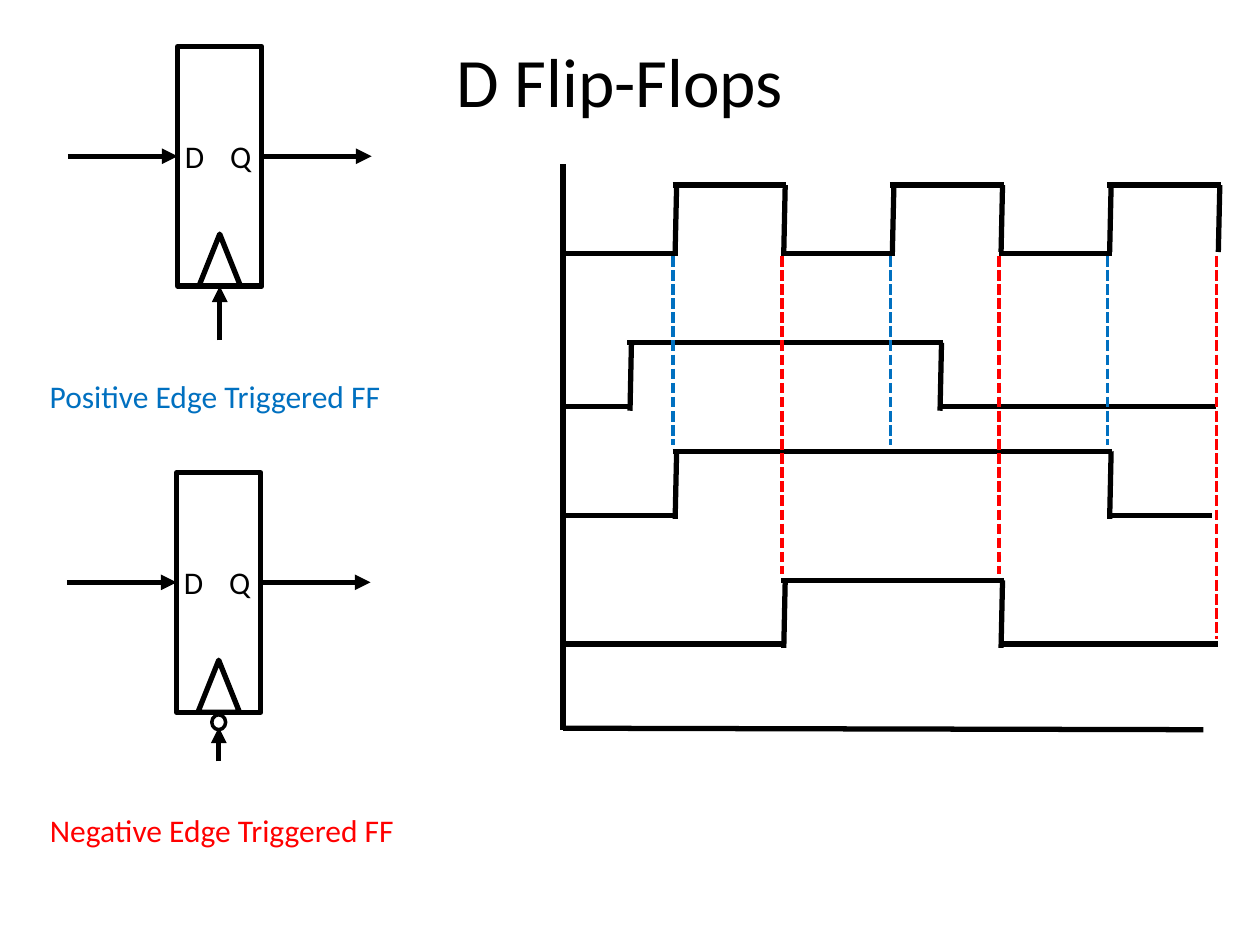
from dataclasses import dataclass
from typing import Optional

import pptx
import pptx.dml.color
import pptx.enum.dml
import pptx.enum.shapes
import pptx.enum.text
import pptx.oxml
import pptx.oxml.ns
import pptx.util

Cm, Pt = pptx.util.Cm, pptx.util.Pt
RGB = pptx.dml.color.RGBColor
Shape = pptx.enum.shapes.MSO_SHAPE
Align = pptx.enum.text.PP_ALIGN
DRAWING = pptx.oxml.ns.nsdecls("a")


@dataclass(frozen=True)
class Theme:
    font: str = "Calibri"
    ink: RGB = RGB(0, 0, 0)
    paper: RGB = RGB(255, 255, 255)
    positive: RGB = RGB(0x00, 0x70, 0xC0)
    negative: RGB = RGB(0xFF, 0, 0)
    title_size: float = 39.6
    text_size: float = 18
    thick: float = 3
    thin: float = 2


@dataclass(frozen=True)
class FlipFlop:
    left: float
    top: float
    clock_from: float
    clock_to: float
    inverted: bool


@dataclass(frozen=True)
class Caption:
    text: str
    left: float
    top: float
    width: float
    color: RGB


@dataclass(frozen=True)
class Signal:
    low: float
    high: float
    foot: float
    edges: list[float]
    end: Optional[float] = None


THEME = Theme()

# Symbol measures, in centimetres
BODY_WIDTH, BODY_HEIGHT = 1.7, 4.83
PIN_DEPTH, PIN_LENGTH = 2.21, 2.21
TEXT_HEIGHT = 1.02

# Timing diagram measures, in centimetres
AXIS_X, AXIS_TOP, AXIS_BOTTOM = 11.35, 3.3, 14.68
EDGES = [13.61 + 2.19 * step for step in range(6)]
LEAN = 0.03
OVERSHOOT = 0.05
GUIDE_TOP, GUIDE_SHIFT = 5.16, 0.04

FLIP_FLOPS = [
    FlipFlop(3.58, 0.94, 5.92, BODY_HEIGHT, False),
    FlipFlop(3.56, 9.53, 5.82, 5.13, True),
]
CAPTIONS = [
    Caption("Positive Edge Triggered FF", 0.64, 7.47, 7.39, THEME.positive),
    Caption("Negative Edge Triggered FF", 0.46, 16.23, 8.03, THEME.negative),
]
SIGNALS = [
    Signal(5.11, 3.73, 5.08, EDGES),
    Signal(8.2, 6.91, 8.28, [12.7, 18.95], 24.51),
    Signal(10.39, 9.1, 10.46, [EDGES[0], EDGES[4]], 24.43),
    Signal(12.98, 11.7, 13.06, [EDGES[1], EDGES[3]], 24.56),
]
GUIDE_BOTTOMS = [8.97, 11.58, 8.97, 11.58, 8.97, 12.88]


def write(frame, text: str, size: float, color: RGB, align) -> None:
    para = frame.paragraphs[0]
    para.alignment = align
    span = para.add_run()
    span.text = text
    for name, value in {"name": THEME.font, "size": Pt(size)}.items():
        setattr(span.font, name, value)
    span.font.color.rgb = color


def add_text(page, text: str, left: float, top: float, width: float,
             color: RGB = THEME.ink, align=Align.LEFT, wrap: bool = False) -> None:
    box = page.shapes.add_textbox(Cm(left), Cm(top), Cm(width), Cm(TEXT_HEIGHT))
    settings = {"word_wrap": wrap,
                "auto_size": pptx.enum.text.MSO_AUTO_SIZE.SHAPE_TO_FIT_TEXT}
    for name, value in settings.items():
        setattr(box.text_frame, name, value)
    write(box.text_frame, text, THEME.text_size, color, align)


def add_outline(page, kind, left: float, top: float, width: float, height: float,
                weight: float = THEME.thick, fill: Optional[RGB] = None):
    shape = page.shapes.add_shape(kind, Cm(left), Cm(top), Cm(width), Cm(height))
    shape.shadow.inherit = False
    if fill is None:
        shape.fill.background()
    else:
        shape.fill.solid()
        shape.fill.fore_color.rgb = fill
    shape.line.color.rgb = THEME.ink
    shape.line.width = Pt(weight)
    return shape


def add_line(page, x1: float, y1: float, x2: float, y2: float,
             color: RGB = THEME.ink, weight: float = THEME.thick,
             dashed: bool = False, arrow: bool = False):
    line = page.shapes.add_connector(pptx.enum.shapes.MSO_CONNECTOR.STRAIGHT,
                                     Cm(x1), Cm(y1), Cm(x2), Cm(y2))
    line.line.color.rgb = color
    line.line.width = Pt(weight)
    if dashed:
        line.line.dash_style = pptx.enum.dml.MSO_LINE.SQUARE_DOT
    properties = line._element.spPr
    if arrow:
        properties.find(pptx.oxml.ns.qn("a:ln")).append(
            pptx.oxml.parse_xml(f'<a:tailEnd {DRAWING} type="triangle"/>'))
    properties.append(pptx.oxml.parse_xml(f"<a:effectLst {DRAWING}/>"))
    return line


def draw_flip_flop(page, part: FlipFlop) -> None:
    left, top = part.left, part.top
    body = add_outline(page, Shape.RECTANGLE, left, top, BODY_WIDTH, BODY_HEIGHT)
    add_outline(page, Shape.ISOSCELES_TRIANGLE, left + 0.43, top + 3.78, 0.84, 1.05)
    add_text(page, "D", left - 0.1, top + 1.7, 0.91)
    add_text(page, "Q", left + 0.81, top + 1.7, 0.94)

    # Data pins
    pin_y, right = top + PIN_DEPTH, left + BODY_WIDTH
    for start, end in ((left - PIN_LENGTH, left), (right, right + PIN_LENGTH)):
        add_line(page, start, pin_y, end, pin_y, arrow=True)

    # Clock pin
    middle = left + BODY_WIDTH / 2
    clock = add_line(page, middle, top + part.clock_from,
                     middle, top + part.clock_to, arrow=True)
    if part.inverted:
        add_outline(page, Shape.OVAL, middle - 0.14, top + 4.88, 0.28, 0.3,
                    THEME.thin, THEME.paper)
    else:
        clock.end_connect(body, 2)


def draw_signal(page, signal: Signal) -> None:
    start = AXIS_X
    for index, edge in enumerate(signal.edges):
        level = signal.high if index % 2 else signal.low
        add_line(page, start, level, edge + OVERSHOOT, level)
        add_line(page, edge, signal.foot, edge + LEAN, signal.high)
        start = edge - OVERSHOOT
    if signal.end is not None:
        add_line(page, start, signal.low, signal.end, signal.low)


def main() -> None:
    deck = pptx.Presentation()
    deck.slide_width, deck.slide_height = Cm(25.4), Cm(19.05)
    page = deck.slides.add_slide(deck.slide_layouts[5])

    # Title
    title = page.shapes.title
    place = {"left": 1.7, "top": 1.09, "width": 21.59, "height": TEXT_HEIGHT}
    for name, value in place.items():
        setattr(title, name, Cm(value))
    title.text_frame.auto_size = pptx.enum.text.MSO_AUTO_SIZE.NONE
    title.text_frame.vertical_anchor = pptx.enum.text.MSO_ANCHOR.MIDDLE
    write(title.text_frame, "D Flip-Flops", THEME.title_size, THEME.ink, Align.CENTER)

    # Symbols and captions
    for part in FLIP_FLOPS:
        draw_flip_flop(page, part)
    for caption in CAPTIONS:
        add_text(page, caption.text, caption.left, caption.top, caption.width,
                 caption.color, Align.CENTER, wrap=True)

    # Timing diagram: axes, signals, clock edge guides
    add_line(page, AXIS_X, AXIS_BOTTOM, 24.26, AXIS_BOTTOM + 0.03)
    add_line(page, AXIS_X, AXIS_BOTTOM + 0.03, AXIS_X, AXIS_TOP)
    for signal in SIGNALS:
        draw_signal(page, signal)
    for index, (edge, bottom) in enumerate(zip(EDGES, GUIDE_BOTTOMS)):
        x = edge - GUIDE_SHIFT
        color = THEME.negative if index % 2 else THEME.positive
        add_line(page, x, GUIDE_TOP, x, bottom, color, THEME.thin, dashed=True)

    deck.save("out.pptx")


if __name__ == "__main__":
    main()
